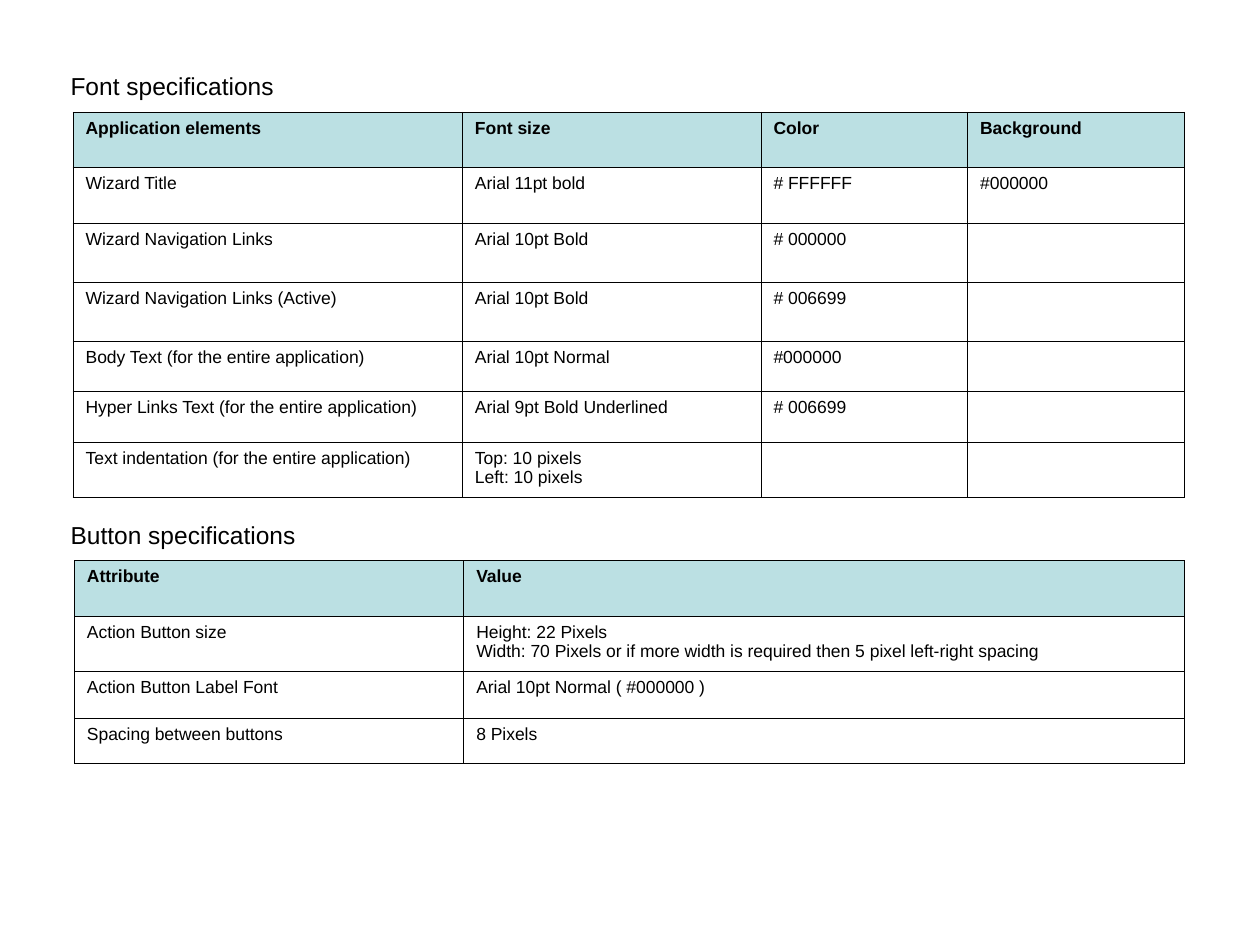
from dataclasses import dataclass

import pptx
import pptx.dml.color
import pptx.enum.text
import pptx.oxml
import pptx.oxml.ns
import pptx.util

Inches = pptx.util.Inches
Pt = pptx.util.Pt
RGBColor = pptx.dml.color.RGBColor

BLACK = RGBColor(0x00, 0x00, 0x00)
TEAL = RGBColor(0xBB, 0xE0, 0xE3)
FONT = "Arial"
EDGE = Pt(0.45)


@dataclass
class Title:
    text: str
    top: float
    width: float


@dataclass
class Grid:
    left: float
    top: float
    cols: list[float]
    rows: list[float]
    cells: list[list[str]]


TITLES = [
    Title("Font specifications", 0.46, 1.62),
    Title("Button specifications", 4.02, 1.79),
]

GRIDS = [
    Grid(0.58, 0.89, [3.09, 2.37, 1.64, 1.72],
         [0.44, 0.44, 0.47, 0.47, 0.4, 0.4, 0.44], [
        ["Application elements", "Font size", "Color", "Background"],
        ["Wizard Title", "Arial 11pt bold", "# FFFFFF", "#000000"],
        ["Wizard Navigation Links", "Arial 10pt Bold", "# 000000", ""],
        ["Wizard Navigation Links (Active)", "Arial 10pt Bold", "# 006699", ""],
        ["Body Text (for the entire application)", "Arial 10pt Normal", "#000000", ""],
        ["Hyper Links Text (for the entire application)",
         "Arial 9pt Bold Underlined", "# 006699", ""],
        ["Text indentation (for the entire application)",
         "Top: 10 pixels \vLeft: 10 pixels", "", ""],
    ]),
    Grid(0.59, 4.45, [3.09, 5.72], [0.44, 0.44, 0.37, 0.36], [
        ["Attribute", "Value"],
        ["Action Button size",
         "Height: 22 Pixels\nWidth: 70 Pixels or if more width is required"
         " then 5 pixel left-right spacing"],
        ["Action Button Label Font", "Arial 10pt Normal ( #000000 )"],
        ["Spacing between buttons", "8 Pixels"],
    ]),
]


def style(para, size: float, bold: bool = False) -> None:
    for run in para.runs:
        run.font.name = FONT
        run.font.size = Pt(size)
        run.font.bold = bold
        run.font.color.rgb = BLACK


def border(cell) -> None:
    props = cell._tc.get_or_add_tcPr()
    space = pptx.oxml.ns.nsdecls("a")
    for spot, side in enumerate("LRTB"):
        props.insert(spot, pptx.oxml.parse_xml(
            f'<a:ln{side} {space} w="{EDGE}"><a:solidFill>'
            f'<a:srgbClr val="{BLACK}"/></a:solidFill></a:ln{side}>'))


def draw_title(slide, title: Title) -> None:
    box = slide.shapes.add_textbox(
        Inches(0.56), Inches(title.top), Inches(title.width), Inches(0.34))
    frame = box.text_frame
    frame.text = title.text
    frame.word_wrap = False
    frame.auto_size = pptx.enum.text.MSO_AUTO_SIZE.SHAPE_TO_FIT_TEXT
    frame.vertical_anchor = pptx.enum.text.MSO_ANCHOR.MIDDLE
    frame.margin_left = frame.margin_right = frame.margin_bottom = 0
    frame.margin_top = Inches(0.1)
    style(frame.paragraphs[0], 14)


def draw_cell(cell, text: str, row: int) -> None:
    cell.text_frame.text = text
    if row == 0:
        cell.fill.solid()
        cell.fill.fore_color.rgb = TEAL
    else:
        cell.fill.background()
    border(cell)
    for para in cell.text_frame.paragraphs:
        if row > 1:
            para.space_before = Pt(2.5)
        style(para, 10, row == 0)


def draw_grid(slide, grid: Grid) -> None:
    table = slide.shapes.add_table(
        len(grid.rows), len(grid.cols), Inches(grid.left), Inches(grid.top),
        Inches(sum(grid.cols)), Inches(sum(grid.rows))).table
    table.first_row = table.horz_banding = False
    for col, width in zip(table.columns, grid.cols):
        col.width = Inches(width)
    for row, height in zip(table.rows, grid.rows):
        row.height = Inches(height)
    for row, texts in enumerate(grid.cells):
        for col, text in enumerate(texts):
            draw_cell(table.cell(row, col), text, row)


def main() -> None:
    deck = pptx.Presentation()
    deck.slide_width = Inches(10)
    deck.slide_height = Inches(7.5)
    slide = deck.slides.add_slide(deck.slide_layouts[6])
    for title, grid in zip(TITLES, GRIDS):
        draw_title(slide, title)
        draw_grid(slide, grid)
    deck.save("out.pptx")


if __name__ == "__main__":
    main()
